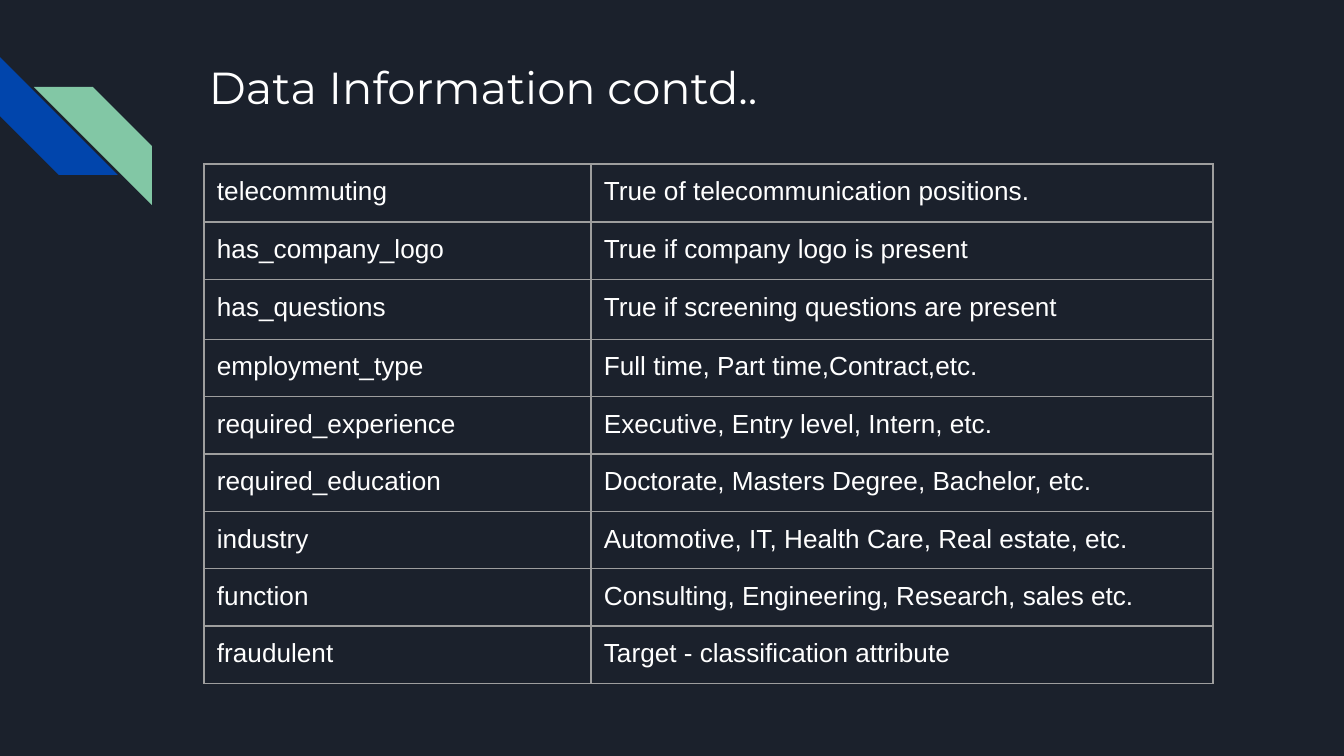
"""Builds the slide that describes the remaining data attributes."""
import pptx
import pptx.dml.color
import pptx.enum.shapes
import pptx.oxml
import pptx.oxml.ns
import pptx.util

EMU_PER_PX = 914400 / 134.4
COLORS = {
    "background": "1B212C",
    "blue": "0145AC",
    "green": "82C7A5",
    "text": "FFFFFF",
    "border": "9E9E9E",
}
INSET = 13
COLUMN_WIDTHS = [387, 622]
ROW_HEIGHTS = [58, 57, 60, 56, 57, 56, 56, 56, 56]
ATTRIBUTES = [
    ("telecommuting", "True of telecommunication positions."),
    ("has_company_logo", "True if company logo is present"),
    ("has_questions", "True if screening questions are present"),
    ("employment_type", "Full time, Part time,Contract,etc."),
    ("required_experience", "Executive, Entry level, Intern, etc."),
    ("required_education", "Doctorate, Masters Degree, Bachelor, etc."),
    ("industry", "Automotive, IT, Health Care, Real estate, etc."),
    ("function", "Consulting, Engineering, Research, sales etc."),
    ("fraudulent", "Target - classification attribute"),
]


def px(length):
    return pptx.util.Emu(round(length * EMU_PER_PX))


def paint(fill, color):
    fill.solid()
    fill.fore_color.rgb = pptx.dml.color.RGBColor.from_string(COLORS[color])


def write_text(frame, text, font="Arial", size=14, color="text"):
    frame.word_wrap = True
    span = frame.paragraphs[0].add_run()
    span.text = text
    span.font.name = font
    span.font.size = pptx.util.Pt(size)
    paint(span.font.fill, color)


def set_insets(holder):
    for side in ("left", "top", "right", "bottom"):
        setattr(holder, f"margin_{side}", px(INSET))


def add_stripe(page, left, top, size, color, rotation=0, mirrored=False):
    stripe = page.shapes.add_shape(
        pptx.enum.shapes.MSO_SHAPE.DIAGONAL_STRIPE,
        px(left), px(top), px(size), px(size))
    stripe.adjustments[0] = 0.5
    stripe.rotation = rotation
    if mirrored:
        stripe.element.spPr.find(pptx.oxml.ns.qn("a:xfrm")).set("flipH", "1")
    stripe.shadow.inherit = False
    paint(stripe.fill, color)
    stripe.line.fill.background()


def add_title(page, text):
    box = page.shapes.add_textbox(px(196), px(47), px(1024), px(90))
    set_insets(box.text_frame)
    write_text(box.text_frame, text, font="Montserrat", size=24)


def set_borders(cell, color, width):
    properties = cell._tc.get_or_add_tcPr()
    for index, side in enumerate(("lnL", "lnR", "lnT", "lnB")):
        properties.insert(index, pptx.oxml.parse_xml(
            f'<a:{side} {pptx.oxml.ns.nsdecls("a")} w="{pptx.util.Pt(width)}">'
            f'<a:solidFill><a:srgbClr val="{COLORS[color]}"/></a:solidFill>'
            f'</a:{side}>'))


def add_attribute_table(page, left, top):
    table = page.shapes.add_table(
        len(ATTRIBUTES), len(COLUMN_WIDTHS), px(left), px(top),
        px(sum(COLUMN_WIDTHS)), px(sum(ROW_HEIGHTS))).table
    table.first_row = False
    table.horz_banding = False
    for column, width in zip(table.columns, COLUMN_WIDTHS):
        column.width = px(width)
    for row, height, texts in zip(table.rows, ROW_HEIGHTS, ATTRIBUTES):
        row.height = px(height)
        for cell, text in zip(row.cells, texts):
            cell.fill.background()
            set_borders(cell, "border", 0.75)
            set_insets(cell)
            write_text(cell.text_frame, text)


def main():
    deck = pptx.Presentation()
    deck.slide_width, deck.slide_height = px(1344), px(756)
    page = deck.slides.add_slide(deck.slide_layouts[6])
    paint(page.background.fill, "background")
    add_stripe(page, 0, 57, 118, "blue", rotation=270)
    add_stripe(page, 34, 87, 118, "green", mirrored=True)
    add_title(page, "Data Information contd..")
    add_attribute_table(page, 204, 164)
    deck.save("out.pptx")


if __name__ == "__main__":
    main()
